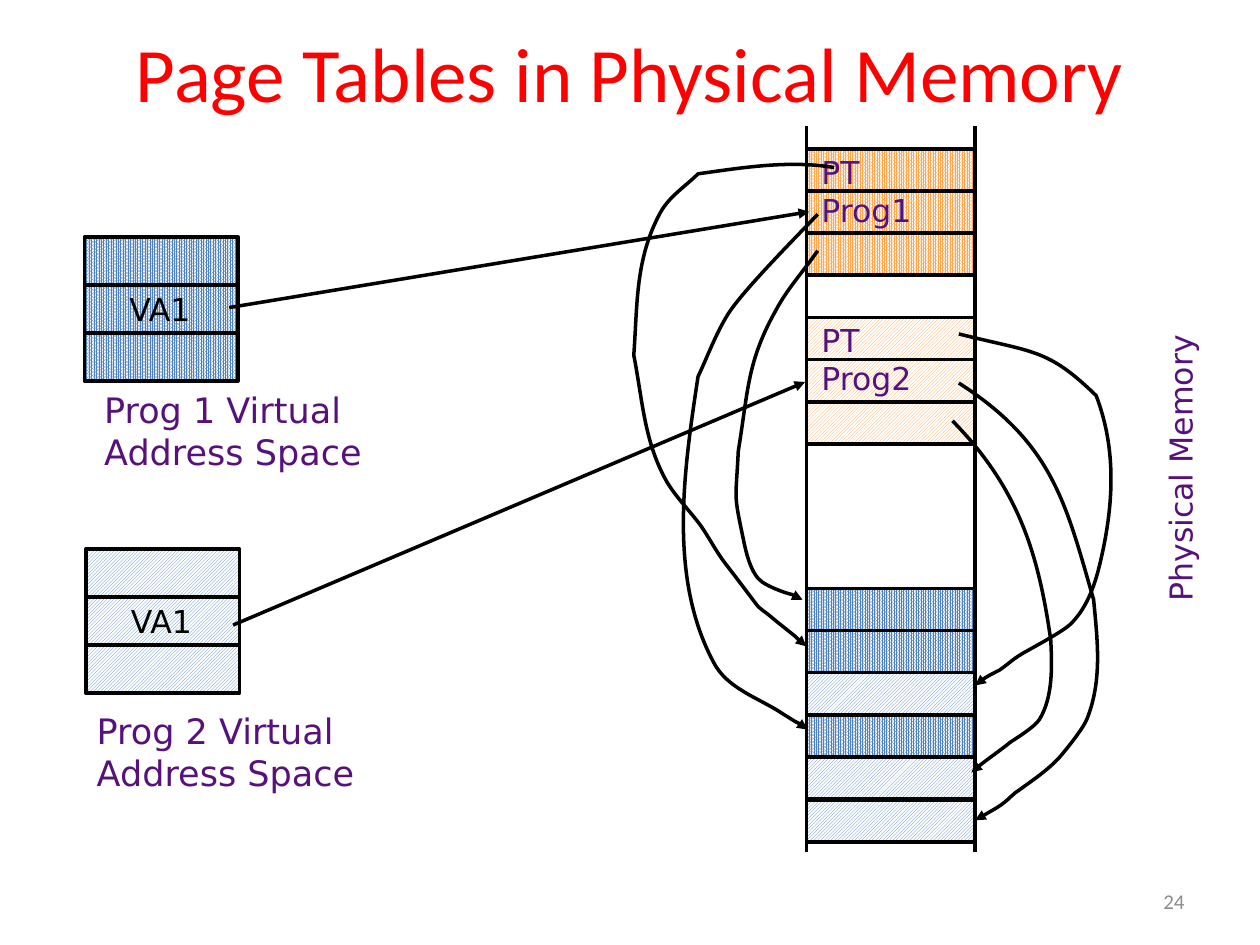
"""Build the slide on page tables in physical memory."""
from lxml.etree import SubElement
from pptx import Presentation
from pptx.dml.color import RGBColor
from pptx.enum.dml import MSO_PATTERN
from pptx.enum.shapes import MSO_CONNECTOR, MSO_SHAPE
from pptx.enum.text import MSO_ANCHOR, PP_ALIGN
from pptx.oxml.ns import qn
from pptx.util import Cm, Pt

BLACK, WHITE, RED, GREY = "000000", "FFFFFF", "FF0000", "8C8C8C"
BLUE, GOLD, PLUM = "4F81BD", "FFA74F", "56127A"
DOTS, DIAG = MSO_PATTERN.PERCENT_90, MSO_PATTERN.DARK_UPWARD_DIAGONAL
PROG1, PROG2 = (BLUE, DOTS), (BLUE, DIAG)
TABLE1, TABLE2 = (GOLD, DOTS), (GOLD, DIAG)
FREE = (WHITE, None)

SPACES = [(1.7, 4.78, PROG1), (1.73, 11.07, PROG2)]
SPACE_W, SPACE_H = 3.1, 2.9
MEM_L, MEM_W, ROW = 16.26, 3.39, 0.85
MEM_R = MEM_L + MEM_W
STACKS = [
    (3, [TABLE1] * 3 + [FREE] + [TABLE2] * 3),
    (11.86, [PROG1, PROG1, PROG2, PROG1, PROG2]),
    (16.13, [PROG2]),
]
LABELS = [
    ("Prog 1 Virtual Address Space", (1.85, 7.7, 6.63, 1.96), 20, 0),
    ("Prog 2 Virtual Address Space", (1.7, 14.17, 6.63, 1.96), 20, 0),
    ("PT Prog1", (16.31, 2.97, 2.49, 1.78), 18, 0),
    ("PT Prog2", (16.31, 6.35, 2.54, 1.78), 18, 0),
    ("Physical Memory", (20.57, 8.64, 6.45, 1.02), 18, 270),
]
ARROWS = [(4.62, 6.2, 16.31, 4.27), (4.7, 12.6, 16.23, 7.7)]
UNIT = Cm(0.0254)
CURVES = [
    [(662, 133), (626, 127), (590, 133), (554, 138), (544, 148), (531, 156),
     (524, 169), (504, 206), (506, 242), (503, 282), (510, 317), (511, 350),
     (529, 382), (536, 394), (547, 405), (556, 417), (563, 427), (569, 439),
     (577, 449), (614, 497), (594, 474), (616, 493), (621, 497), (626, 501),
     (631, 505), (634, 508), (640, 513), (640, 513)],
    [(649, 199), (638, 215), (625, 229), (616, 246), (593, 287), (594, 309),
     (586, 358), (584, 399), (582, 390), (590, 428), (592, 438), (596, 456),
     (605, 462), (611, 466), (621, 470), (629, 472), (632, 474), (635, 475),
     (637, 476)],
    [(761, 304), (836, 352), (846, 400), (868, 476), (871, 508), (875, 539),
     (863, 570), (860, 578), (847, 594), (841, 601), (832, 611), (820, 619),
     (809, 627), (804, 630), (801, 634), (797, 637), (792, 641), (786, 644),
     (781, 647), (778, 649), (774, 651), (774, 651)],
    [(761, 265), (820, 280), (831, 276), (870, 314), (886, 356), (884, 399),
     (874, 443), (870, 461), (864, 481), (850, 495), (843, 502), (812, 518),
     (811, 519), (804, 523), (799, 528), (793, 532), (787, 535), (779, 539),
     (774, 544)],
    [(756, 334), (808, 387), (824, 438), (834, 508), (835, 528), (836, 553),
     (825, 571), (821, 577), (808, 585), (802, 589), (792, 597), (780, 605),
     (771, 613)],
    [(649, 170), (635, 185), (590, 230), (578, 249), (568, 265), (562, 282),
     (554, 299), (543, 372), (530, 457), (566, 525), (577, 547), (603, 554),
     (622, 567), (627, 570), (631, 573), (636, 575), (638, 576), (641, 579),
     (641, 579)],
]


def tint(hue):
    return RGBColor.from_string(hue)


def write(frame, text, size=18, hue=PLUM, font="DejaVu Sans",
          align=PP_ALIGN.LEFT, anchor=MSO_ANCHOR.TOP, wrap=True):
    frame.word_wrap = wrap
    frame.vertical_anchor = anchor
    para = frame.paragraphs[0]
    para.text, para.alignment = text, align
    para.font.name, para.font.size = font, Pt(size)
    para.font.color.rgb = tint(hue)


def label(slide, text, place, turn=0, **style):
    box = slide.shapes.add_textbox(*map(Cm, place))
    box.rotation = turn
    write(box.text_frame, text, **style)


def stroke(shape, head=False):
    shape.line.color.rgb = tint(BLACK)
    shape.line.width = Pt(2)
    if head:
        SubElement(shape.line._get_or_add_ln(), qn("a:tailEnd"), type="triangle")


def cell(slide, place, look):
    hue, kind = look
    box = slide.shapes.add_shape(MSO_SHAPE.RECTANGLE, *map(Cm, place))
    box.shadow.inherit = False
    if kind is None:
        box.fill.solid()
        box.fill.fore_color.rgb = tint(hue)
    else:
        box.fill.patterned()
        box.fill.pattern = kind
        box.fill.fore_color.rgb = tint(hue)
        box.fill.back_color.rgb = tint(WHITE)
    stroke(box)


def line(slide, ends, head=False):
    rule = slide.shapes.add_connector(MSO_CONNECTOR.STRAIGHT, *map(Cm, ends))
    stroke(rule, head)
    SubElement(rule._element.spPr, qn("a:effectLst"))


def curve(slide, points):
    pen = slide.shapes.build_freeform(*points[0], scale=UNIT)
    pen.add_line_segments(points[1:], close=False)
    shape = pen.convert_to_shape()
    shape.shadow.inherit = False
    shape.fill.background()
    stroke(shape, head=True)
    track = next(shape._element.iter(qn("a:path")))
    steps = track.findall(qn("a:lnTo"))
    for i in range(0, len(steps), 3):
        bend = SubElement(track, qn("a:cubicBezTo"))
        for step in steps[i:i + 3]:
            bend.append(step[0])
            track.remove(step)


def main():
    deck = Presentation()
    deck.slide_width, deck.slide_height = Cm(25.4), Cm(19.05)
    slide = deck.slides.add_slide(deck.slide_layouts[5])
    title = slide.shapes.title
    title.left, title.top, title.width, title.height = map(Cm, (0, 0.2, 25.4, 2.51))
    write(title.text_frame, "Page Tables in Physical Memory", size=44, hue=RED,
          font="Calibri", align=PP_ALIGN.CENTER, anchor=MSO_ANCHOR.MIDDLE)

    for left, top, look in SPACES:
        cell(slide, (left, top, SPACE_W, SPACE_H), look)
        for part in (1, 2):
            y = top + part * SPACE_H / 3
            line(slide, (left, y, left + SPACE_W, y))
        label(slide, "VA1", (left + 0.66, top + 0.95, 1.78, 1.02),
              hue=BLACK, wrap=False)
    for top, looks in STACKS:
        for i, look in enumerate(looks):
            cell(slide, (MEM_L, top + i * ROW, MEM_W, ROW), look)
    for x in (MEM_L, MEM_R):
        line(slide, (x, 2.55, x, 17.17))
    for text, place, size, turn in LABELS:
        label(slide, text, place, turn, size=size)
    for ends in ARROWS:
        line(slide, ends, head=True)
    for points in CURVES:
        curve(slide, points)
    label(slide, "24", (18.21, 17.65, 5.92, 1.02), size=12, hue=GREY,
          font="Calibri", align=PP_ALIGN.RIGHT, anchor=MSO_ANCHOR.MIDDLE)
    deck.save("out.pptx")


if __name__ == "__main__":
    main()
